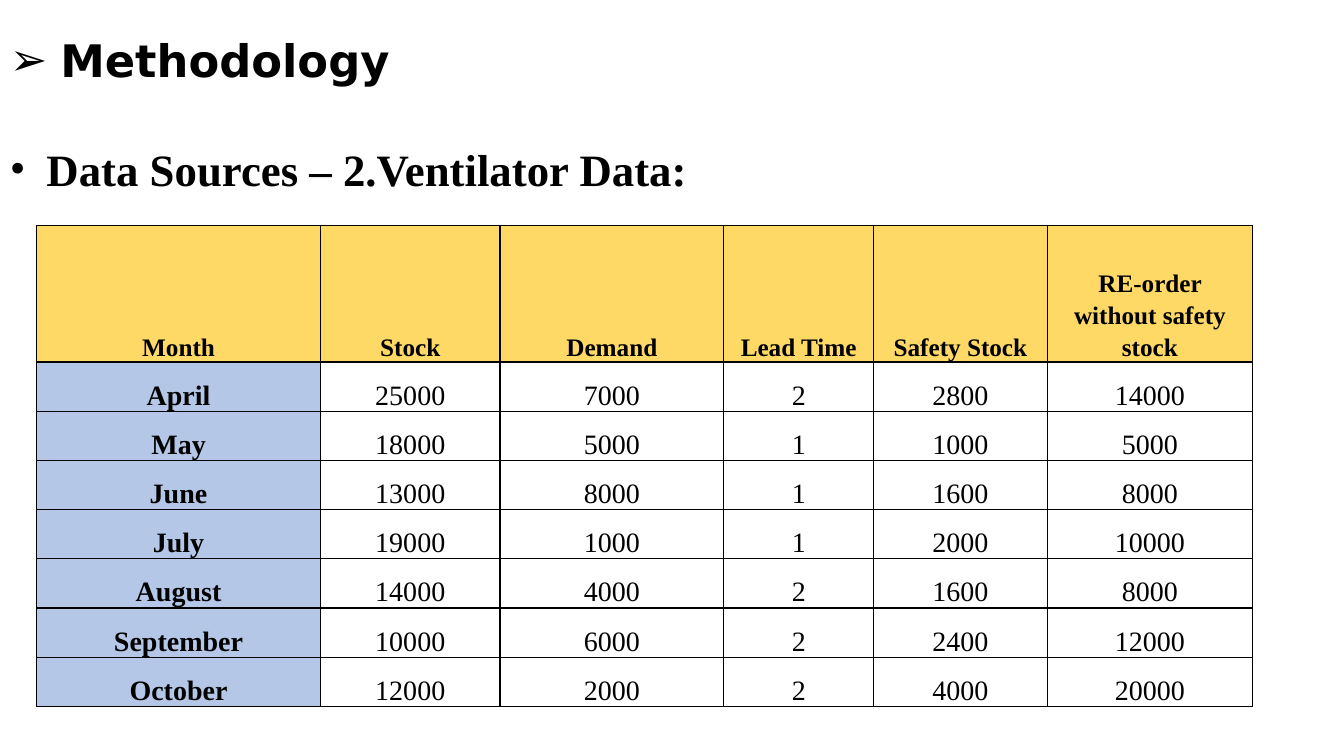
from pptx import Presentation
from pptx.dml.color import RGBColor
from pptx.enum.text import MSO_ANCHOR as Anchor, PP_ALIGN as Align
from pptx.oxml import parse_xml
from pptx.oxml.ns import nsdecls
from pptx.util import Cm, Pt

SERIF = "Times New Roman"
SANS = "DejaVu Sans"
BLACK, WHITE, GOLD, BLUE = "000000", "FFFFFF", "FFD966", "B4C7E7"

COLUMN_WIDTHS = [7.16, 4.52, 5.64, 3.78, 4.37, 5.18]
HEADER_HEIGHT, MONTH_HEIGHT = 3.43, 1.24
VENTILATOR_ROWS = [
    ["Month", "Stock", "Demand", "Lead Time", "Safety Stock",
     "RE-order without safety stock"],
    ["April", 25000, 7000, 2, 2800, 14000],
    ["May", 18000, 5000, 1, 1000, 5000],
    ["June", 13000, 8000, 1, 1600, 8000],
    ["July", 19000, 1000, 1, 2000, 10000],
    ["August", 14000, 4000, 2, 1600, 8000],
    ["September", 10000, 6000, 2, 2400, 12000],
    ["October", 12000, 2000, 2, 4000, 20000],
]


def color(value):
    return RGBColor.from_string(value)


def set_values(target, values):
    for name, value in values.items():
        setattr(target, name, value)


def write(para, text, font, layout):
    set_values(para, layout)
    span = para.add_run()
    span.text = text
    set_values(span.font, font)
    span.font.color.rgb = color(BLACK)


def add_heading(page, box, text, font_name, bullet, indent, space_before=0):
    """Place one bulleted heading in the given box."""
    shape = page.shapes.add_textbox(*map(Cm, box))
    shape.text_frame.word_wrap = True
    para = shape.text_frame.paragraphs[0]
    write(para, text, {"name": font_name, "size": Pt(32), "bold": True},
          {"alignment": Align.JUSTIFY, "line_spacing": 1.5,
           "space_before": Pt(space_before)})

    # Bullet with a hanging indent
    properties = para._p.get_or_add_pPr()
    properties.set("marL", str(Cm(indent)))
    properties.set("indent", str(-Cm(indent)))
    for tag in (f'a:buFont {nsdecls("a")} typeface="{font_name}"',
                f'a:buChar {nsdecls("a")} char="{bullet}"'):
        properties.append(parse_xml(f"<{tag}/>"))


def add_borders(cell):
    properties = cell._tc.get_or_add_tcPr()
    for position, side in enumerate("LRTB"):
        properties.insert(position, parse_xml(
            f'<a:ln{side} {nsdecls("a")} w="{Pt(1)}"><a:solidFill>'
            f'<a:srgbClr val="{BLACK}"/></a:solidFill></a:ln{side}>'))


def add_ventilator_table(page, left, top):
    """Place the monthly table with its top left corner at the given point."""
    heights = [HEADER_HEIGHT] + [MONTH_HEIGHT] * (len(VENTILATOR_ROWS) - 1)
    table = page.shapes.add_table(
        len(heights), len(COLUMN_WIDTHS), Cm(left), Cm(top),
        Cm(sum(COLUMN_WIDTHS)), Cm(sum(heights))).table
    for column, width in zip(table.columns, COLUMN_WIDTHS):
        column.width = Cm(width)

    for row_index, values in enumerate(VENTILATOR_ROWS):
        table.rows[row_index].height = Cm(heights[row_index])
        is_header = row_index == 0
        for column_index, value in enumerate(values):
            is_month = column_index == 0
            cell = table.cell(row_index, column_index)
            set_values(cell, {
                "vertical_anchor": Anchor.BOTTOM,
                "margin_left": Cm(0.18), "margin_right": Cm(0.18),
                "margin_top": 0, "margin_bottom": 0})
            write(cell.text_frame.paragraphs[0], str(value),
                  {"name": SERIF, "size": Pt(18 if is_header else 20),
                   "bold": is_header or is_month},
                  {"alignment": Align.CENTER, "line_spacing": 1.15,
                   "space_after": Pt(8)})
            cell.fill.solid()
            cell.fill.fore_color.rgb = color(
                GOLD if is_header else BLUE if is_month else WHITE)
            add_borders(cell)


def main():
    deck = Presentation()
    set_values(deck, {"slide_width": Cm(33.87), "slide_height": Cm(19.05)})
    page = deck.slides.add_slide(deck.slide_layouts[6])

    add_heading(page, (0, 0.03, 33.87, 2.06), "Methodology", SANS, "➢", 1.27)
    add_heading(page, (0, 2.77, 33.87, 15.7),
                " Data Sources – 2.Ventilator Data:", SERIF, "•", 0.64, 10)
    add_ventilator_table(page, 0.92, 5.69)
    deck.save("out.pptx")


if __name__ == "__main__":
    main()
